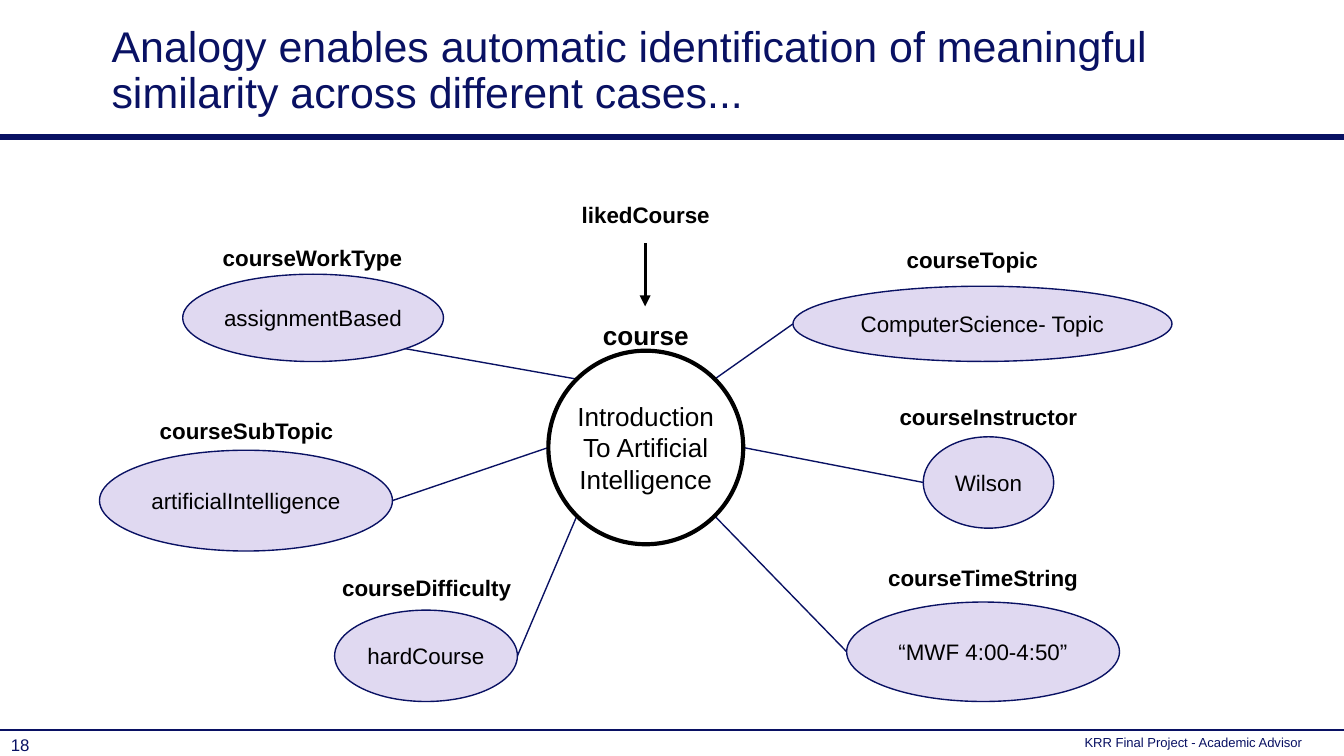
import pptx
import pptx.util
import pptx.dml.color
import pptx.enum.shapes
import pptx.enum.text
import pptx.oxml.ns
import lxml.etree
import math

Pt = pptx.util.Pt
Kind = pptx.enum.shapes.MSO_SHAPE
Align = pptx.enum.text.PP_ALIGN
Mid = pptx.enum.text.MSO_ANCHOR.MIDDLE
Low = pptx.enum.text.MSO_ANCHOR.BOTTOM
Top = pptx.enum.text.MSO_ANCHOR.TOP
qn = pptx.oxml.ns.qn
rgb = pptx.dml.color.RGBColor.from_string
NAVY, LILAC, BLACK = "091163", "E0D9F1", "000000"

deck = pptx.Presentation()
deck.slide_width = pptx.util.Inches(10)
deck.slide_height = deck.slide_width * 9 // 16
cell = deck.slide_width / 10  # square grid, ten columns wide
slide = deck.slides.add_slide(deck.slide_layouts[6])
shapes = slide.shapes


def write(box, text, size, color=BLACK, bold=False, align=Align.CENTER,
          anchor=Mid, pad=(0, 0), space=None):
    """Fill a shape with one paragraph per line of text; pad is in cells."""
    frame = box.text_frame
    side, edge = (round(p * cell) for p in pad)
    form = {"word_wrap": True, "vertical_anchor": anchor,
            "margin_left": side, "margin_right": side,
            "margin_top": edge, "margin_bottom": edge}
    for key, value in form.items():
        setattr(frame, key, value)
    frame.text = text
    for para in frame.paragraphs:
        para.alignment, para.line_spacing = align, space
        for key, value in {"name": "Arial", "size": Pt(size), "bold": bold}.items():
            setattr(para.font, key, value)
        para.font.color.rgb = rgb(color)


def join(start, end, color=NAVY, width=0.75):
    """Draw a straight line between two grid points."""
    ends = [round(v * cell) for v in (*start, *end)]
    line = shapes.add_connector(pptx.enum.shapes.MSO_CONNECTOR.STRAIGHT, *ends)
    line.line.color.rgb = rgb(color)
    line.line.width = Pt(width)
    lxml.etree.SubElement(line._element.spPr, qn("a:effectLst"))
    return line


# Page frame
join((0, 5.43), (10, 5.43), width=1)
join((0, 1.02), (10, 1.02), width=3)

# Text boxes: left, top, width, height, text, format
inset = (0.09, 0.04)
tag = {"size": 12, "bold": True, "anchor": Top, "pad": (0.1, 0.1)}
texts = [
    (0.74, 0.03, 9.26, 0.89,
     "Analogy enables automatic identification of meaningful \v"
     "similarity across different cases...",
     {"size": 23, "color": NAVY, "align": Align.LEFT, "anchor": Low,
      "pad": inset, "space": 0.9}),
    (7.98, 5.45, 4.12, 0.14, "KRR Final Project - Academic Advisor",
     {"size": 7, "color": NAVY, "align": Align.LEFT, "pad": inset}),
    (-0.17, 5.45, 0.64, 0.18, "18", {"size": 9, "color": NAVY, "pad": inset}),
    (3.98, 1.4, 1.65, 0.41, "likedCourse", tag),
    (3.98, 2.28, 1.65, 0.41, "course", {**tag, "size": 14}),
]

# Ovals: left, top, width, height, text, label, label left and top,
# then the angles at which the link leaves the hub and meets the oval
hub = (4.08, 2.61, 1.45, 1.44)
nodes = [
    (6.3, 4.48, 2.03, 0.74, "“MWF 4:00-4:50”", "courseTimeString", 6.49, 4.1, 45, 180),
    (6.87, 3.25, 0.97, 0.68, "Wilson", "courseInstructor", 6.53, 2.9, 0, 180),
    (5.9, 2.13, 2.82, 0.56, "ComputerScience- Topic", "courseTopic", 6.41, 1.73, -45, 180),
    (1.36, 2.04, 1.94, 0.65, "assignmentBased", "courseWorkType", 1.5, 1.72, -135, 45),
    (0.74, 3.35, 2.18, 0.75, "artificialIntelligence", "courseSubTopic", 1.01, 3, 180, 0),
    (2.49, 4.54, 1.36, 0.68, "hardCourse", "courseDifficulty", 2.35, 4.17, 135, 0),
]
ovals = [(hub, "Introduction\nTo Artificial\nIntelligence", 14, None, BLACK, 2.25)]
for *spot, text, label, left, top, leave, meet in nodes:
    ends = []
    for (x, y, w, h), angle in ((hub, leave), (spot, meet)):
        turn = math.radians(angle)
        ends.append((x + w / 2 * (1 + math.cos(turn)), y + h / 2 * (1 + math.sin(turn))))
    join(*ends)
    ovals.append((spot, text, 12, LILAC, NAVY, 0.75))
    texts.append((left, top, 1.65, 0.41, label, tag))

for spot, text, size, fill, edge, width in ovals:
    oval = shapes.add_shape(Kind.OVAL, *(round(v * cell) for v in spot))
    oval.shadow.inherit = False
    if fill:
        oval.fill.solid()
        oval.fill.fore_color.rgb = rgb(fill)
    else:
        oval.fill.background()
    oval.line.color.rgb = rgb(edge)
    oval.line.width = Pt(width)
    write(oval, text, size)

for *spot, text, form in texts:
    write(shapes.add_textbox(*(round(v * cell) for v in spot)), text, **form)

arrow = join((4.8, 1.81), (4.8, 2.28), BLACK, 1.5)
lxml.etree.SubElement(arrow.line._get_or_add_ln(), qn("a:tailEnd"), type="triangle")

deck.save("out.pptx")
